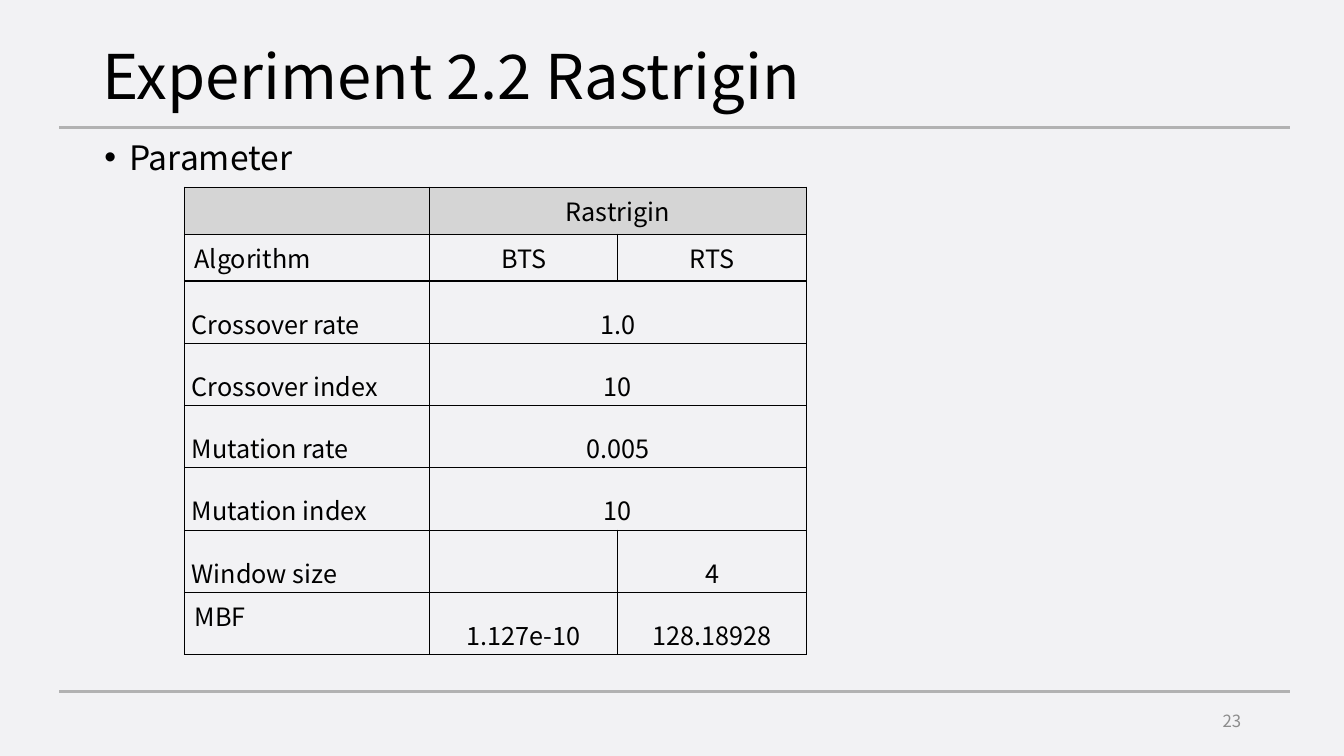
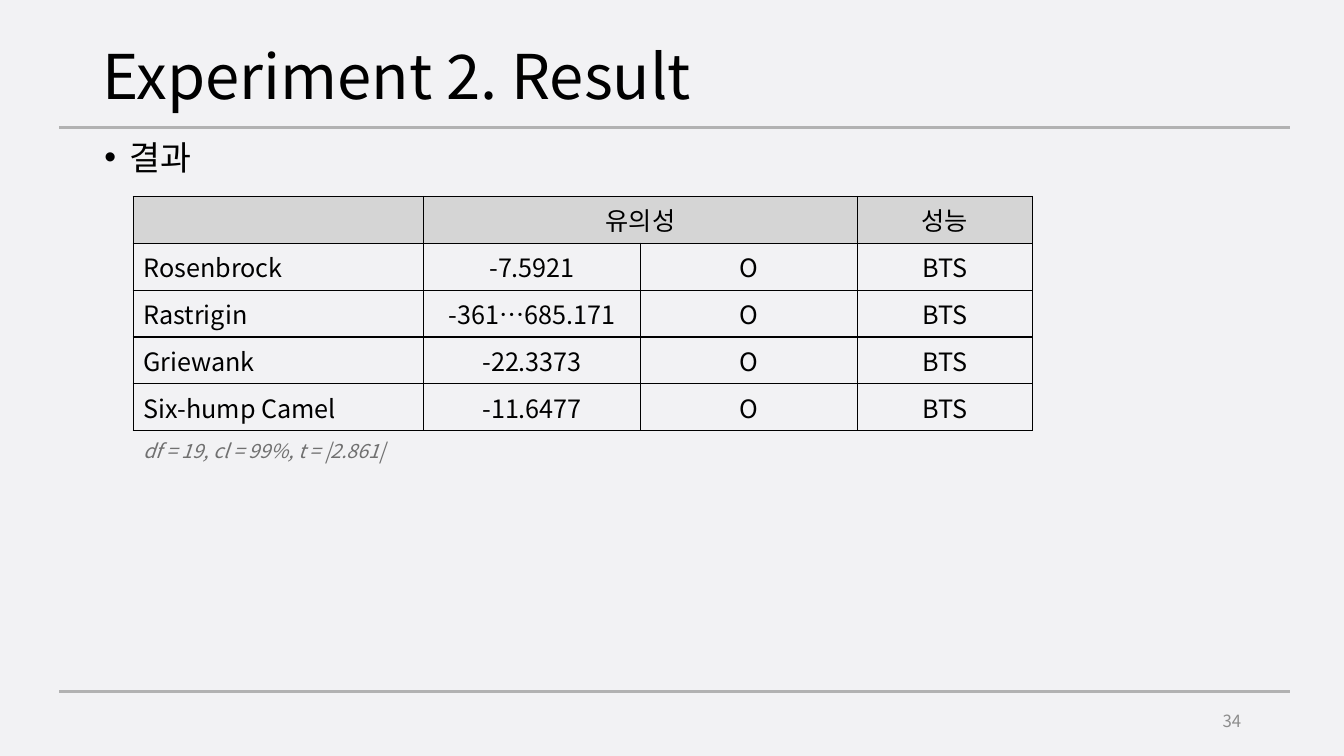
"""Build two experiment slides with a parameter table and a result table."""
from dataclasses import dataclass
from typing import NamedTuple

import lxml.etree
import pptx
import pptx.dml.color
import pptx.enum.shapes
import pptx.enum.text
import pptx.oxml.ns
import pptx.slide
import pptx.table
import pptx.text.text
import pptx.util

Cm = pptx.util.Cm
Pt = pptx.util.Pt
RGBColor = pptx.dml.color.RGBColor
Align = pptx.enum.text.PP_ALIGN
Anchor = pptx.enum.text.MSO_ANCHOR

FONT = "Noto Sans CJK KR"
BACKGROUND = RGBColor(0xF2, 0xF2, 0xF4)
BLACK = RGBColor(0x00, 0x00, 0x00)
RULE_GREY = RGBColor(0xB2, 0xB2, 0xB2)
HEADER_GREY = RGBColor(0xD5, 0xD5, 0xD5)
NOTE_GREY = RGBColor(0x70, 0x70, 0x70)
PAGE_GREY = RGBColor(0x8C, 0x8C, 0x8C)

RULE_LEFT, RULE_RIGHT = Cm(1.49), Cm(32.51)
RULE_HEIGHTS = (Cm(3.21), Cm(17.42))
ROW_HEIGHT, TALL_ROW_HEIGHT = Cm(1.18), Cm(1.57)
BULLET_INDENT = Cm(0.63)
PLAIN_TABLE_STYLE = "{2D5ABB26-0587-4C30-8999-92F81FD0307C}"
ALL_SIDES = ("L", "R", "T", "B")


class Box(NamedTuple):
    left: pptx.util.Length
    top: pptx.util.Length
    width: pptx.util.Length
    height: pptx.util.Length


@dataclass(frozen=True)
class TextStyle:
    size: int
    color: RGBColor = BLACK
    align: Align = Align.LEFT
    italic: bool = False
    line_spacing: float | None = None


@dataclass(frozen=True)
class CellStyle:
    text: TextStyle
    fill: RGBColor | None = None
    borders: tuple[str, ...] = ALL_SIDES
    tall: bool = False


class Cell(NamedTuple):
    text: str
    style: CellStyle
    span: int = 1


@dataclass(frozen=True)
class TableContent:
    left: pptx.util.Length
    top: pptx.util.Length
    widths: tuple[pptx.util.Length, ...]
    rows: list[list[Cell]]


@dataclass(frozen=True)
class SlideContent:
    title: str
    topic: str
    page: int
    table: TableContent


TITLE_BOX = Box(Cm(2.34), Cm(1.02), Cm(29.26), Cm(1.98))
BODY_BOX = Box(Cm(2.38), Cm(3.43), Cm(29.21), Cm(13.72))
PAGE_BOX = Box(Cm(23.91), Cm(17.65), Cm(7.62), Cm(1.02))

TITLE = TextStyle(44, line_spacing=0.9)
TOPIC = TextStyle(24, line_spacing=0.9)
PAGE = TextStyle(12, PAGE_GREY, Align.RIGHT)

HEADER = CellStyle(TextStyle(18, align=Align.CENTER), HEADER_GREY)
LABEL = CellStyle(TextStyle(18))
VALUE = CellStyle(TextStyle(18, align=Align.CENTER))
TALL_LABEL = CellStyle(TextStyle(18, align=Align.JUSTIFY, line_spacing=1.6), tall=True)
TALL_VALUE = CellStyle(TextStyle(18, align=Align.CENTER, line_spacing=1.6), tall=True)
NOTE = CellStyle(TextStyle(14, NOTE_GREY, italic=True), borders=("T",))

SHARED_PARAMETERS = (
    ("Crossover rate", "1.0"),
    ("Crossover index", "10"),
    ("Mutation rate", "0.005"),
    ("Mutation index", "10"),
)
SIGNIFICANCE = (
    ("Rosenbrock", "-7.5921"),
    ("Rastrigin", "-361…685.171"),
    ("Griewank", "-22.3373"),
    ("Six-hump Camel", "-11.6477"),
)

PARAMETER_TABLE = TableContent(
    Cm(4.65), Cm(4.72), (Cm(6.17), Cm(4.75), Cm(4.75)),
    [
        [Cell("", HEADER), Cell("Rastrigin", HEADER, 2)],
        [Cell("Algorithm", LABEL), Cell("BTS", VALUE), Cell("RTS", VALUE)],
        *([Cell(name, TALL_LABEL), Cell(value, TALL_VALUE, 2)]
          for name, value in SHARED_PARAMETERS),
        [Cell("Window size", TALL_LABEL), Cell("", VALUE), Cell("4", TALL_VALUE)],
        [Cell("MBF", LABEL), Cell("1.127e-10", TALL_VALUE), Cell("128.18928", TALL_VALUE)],
    ],
)
RESULT_TABLE = TableContent(
    Cm(3.36), Cm(4.95), (Cm(7.32), Cm(5.46), Cm(5.46), Cm(4.42)),
    [
        [Cell("", HEADER), Cell("유의성", HEADER, 2), Cell("성능", HEADER)],
        *([Cell(name, LABEL), Cell(value, VALUE), Cell("O", VALUE), Cell("BTS", VALUE)]
          for name, value in SIGNIFICANCE),
        [Cell("df = 19, cl = 99%, t = |2.861|", NOTE, 4)],
    ],
)
SLIDES = (
    SlideContent("Experiment 2.2 Rastrigin", "Parameter", 23, PARAMETER_TABLE),
    SlideContent("Experiment 2. Result", "결과", 34, RESULT_TABLE),
)


def add_element(parent: lxml.etree._Element, tag: str, **attributes: str) -> lxml.etree._Element:
    """Append a drawing element to its parent."""
    return lxml.etree.SubElement(parent, pptx.oxml.ns.qn(tag), attributes)


def write_text(paragraph: pptx.text.text._Paragraph, text: str, style: TextStyle) -> None:
    """Write one styled run into a paragraph."""
    paragraph.alignment = style.align
    if style.line_spacing:
        paragraph.line_spacing = style.line_spacing
    if not text:
        paragraph.font.size = Pt(style.size)
        return
    run = paragraph.add_run()
    run.text = text
    run.font.size = Pt(style.size)
    run.font.italic = style.italic
    run.font.color.rgb = style.color
    run.font.name = FONT
    add_element(run.font._element, "a:ea", typeface=FONT)


def add_text(slide: pptx.slide.Slide, box: Box, text: str, style: TextStyle,
             anchor: Anchor = Anchor.MIDDLE) -> pptx.text.text._Paragraph:
    """Add a wrapping text box and return its paragraph."""
    frame = slide.shapes.add_textbox(*box).text_frame
    frame.word_wrap = True
    frame.vertical_anchor = anchor
    paragraph = frame.paragraphs[0]
    write_text(paragraph, text, style)
    return paragraph


def add_topic(slide: pptx.slide.Slide, text: str) -> None:
    """Add the bulleted topic under the title."""
    paragraph = add_text(slide, BODY_BOX, text, TOPIC, Anchor.TOP)
    paragraph.space_before = Pt(10)
    properties = paragraph._p.get_or_add_pPr()
    properties.set("marL", str(BULLET_INDENT))
    properties.set("indent", str(-BULLET_INDENT))
    add_element(properties, "a:buFont", typeface="Arial")
    add_element(properties, "a:buChar", char="•")


def add_rule(slide: pptx.slide.Slide, height: pptx.util.Length) -> None:
    """Add a horizontal rule across the slide."""
    rule = slide.shapes.add_connector(
        pptx.enum.shapes.MSO_CONNECTOR.STRAIGHT, RULE_LEFT, height, RULE_RIGHT, height)
    rule.line.color.rgb = RULE_GREY
    rule.line.width = Pt(2.25)
    add_element(rule._element.spPr, "a:effectLst")


def format_cell(cell: pptx.table._Cell, style: CellStyle) -> None:
    """Set the borders, fill and margins of a cell."""
    properties = cell._tc.get_or_add_tcPr()
    for side in ALL_SIDES:
        border = add_element(properties, f"a:ln{side}", w=str(Pt(1)))
        if side in style.borders:
            fill = add_element(border, "a:solidFill")
            add_element(fill, "a:srgbClr", val=str(BLACK))
        else:
            add_element(border, "a:noFill")
    if style.fill is None:
        cell.fill.background()
    else:
        cell.fill.solid()
        cell.fill.fore_color.rgb = style.fill
    if style.tall:
        cell.vertical_anchor = Anchor.MIDDLE
        cell.margin_left = cell.margin_right = Cm(0.18)
        cell.margin_top = cell.margin_bottom = Cm(0.05)


def row_height(row: list[Cell]) -> pptx.util.Length:
    """Return the height that the cells of a row need."""
    return TALL_ROW_HEIGHT if any(cell.style.tall for cell in row) else ROW_HEIGHT


def add_table(slide: pptx.slide.Slide, content: TableContent) -> None:
    """Add a bordered table with merged cells."""
    heights = [row_height(row) for row in content.rows]
    table = slide.shapes.add_table(
        len(heights), len(content.widths), content.left, content.top,
        sum(content.widths), sum(heights)).table
    table.first_row = table.horz_banding = False
    table._tbl.tblPr.find(pptx.oxml.ns.qn("a:tableStyleId")).text = PLAIN_TABLE_STYLE
    for column, width in zip(table.columns, content.widths):
        column.width = width
    for row_index, row in enumerate(content.rows):
        table.rows[row_index].height = heights[row_index]
        column_index = 0
        for item in row:
            last = column_index + item.span - 1
            for index in range(column_index, last + 1):
                format_cell(table.cell(row_index, index), item.style)
            cell = table.cell(row_index, column_index)
            if item.span > 1:
                cell.merge(table.cell(row_index, last))
            write_text(cell.text_frame.paragraphs[0], item.text, item.style.text)
            column_index = last + 1


def add_slide(presentation: pptx.Presentation, content: SlideContent) -> None:
    """Add a slide with its shared frame and its table."""
    slide = presentation.slides.add_slide(presentation.slide_layouts[6])
    slide.background.fill.solid()
    slide.background.fill.fore_color.rgb = BACKGROUND
    for height in RULE_HEIGHTS:
        add_rule(slide, height)
    add_text(slide, TITLE_BOX, content.title, TITLE)
    add_topic(slide, content.topic)
    add_table(slide, content.table)
    add_text(slide, PAGE_BOX, str(content.page), PAGE)


def main() -> None:
    """Build and save the presentation."""
    presentation = pptx.Presentation()
    presentation.slide_width = Cm(33.87)
    presentation.slide_height = Cm(19.05)
    for content in SLIDES:
        add_slide(presentation, content)
    presentation.save("out.pptx")


if __name__ == "__main__":
    main()
